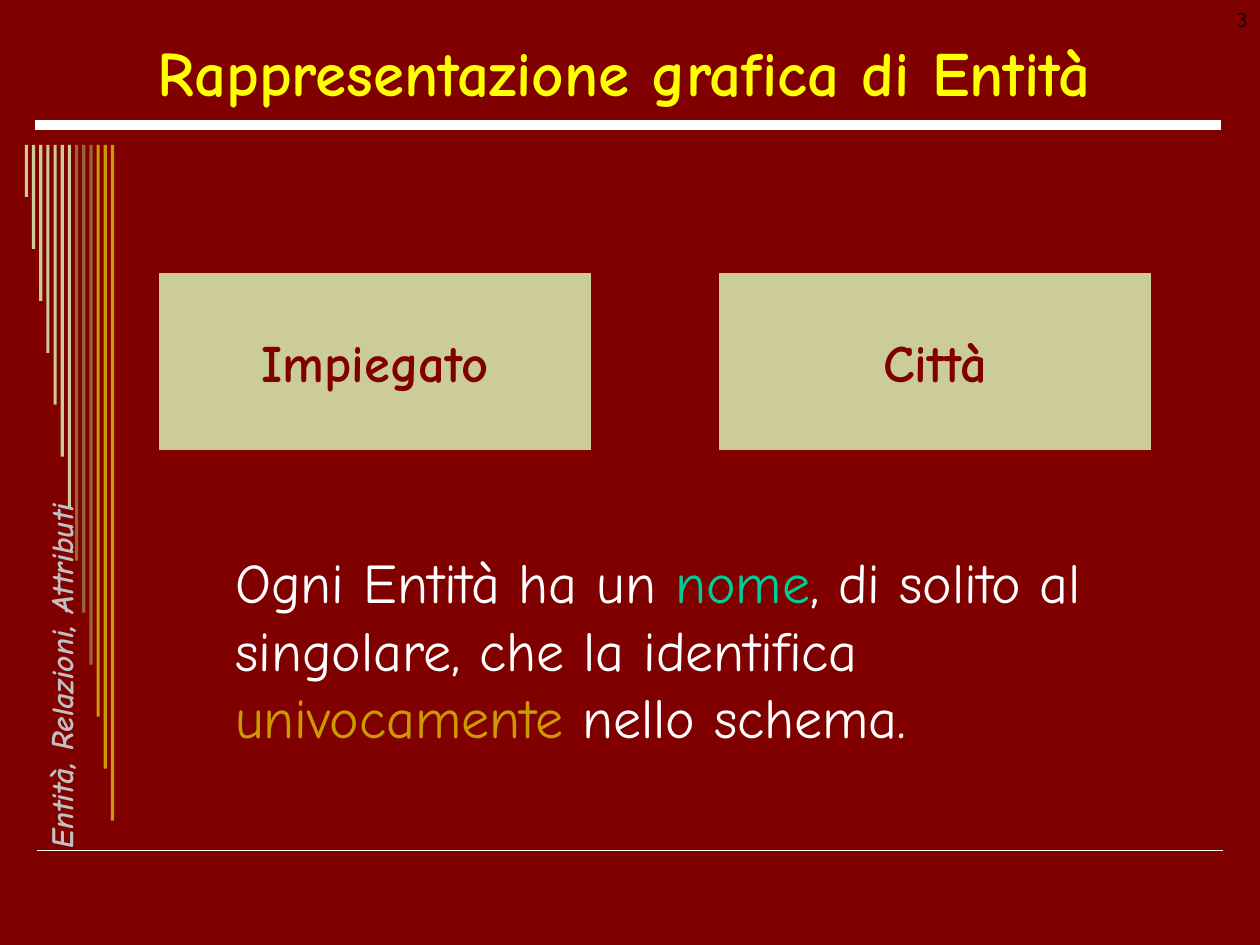
from pptx import Presentation
from pptx.dml.color import RGBColor
from pptx.enum.shapes import MSO_CONNECTOR, MSO_SHAPE
from pptx.enum.text import MSO_ANCHOR, MSO_AUTO_SIZE, PP_ALIGN
from pptx.oxml import parse_xml
from pptx.oxml.ns import nsdecls
from pptx.util import Pt

# Content
TITLE = "Rappresentazione grafica di Entità"
SECTION = "Entità, Relazioni, Attributi"
PAGE = "3"
ENTITIES = ["Impiegato", "Città"]
RULE = [
    ("Ogni Entità ha un ", "white"),
    ("nome", "green"),
    (", di solito al singolare, che la identifica ", "white"),
    ("univocamente", "gold"),
    (" nello schema.", "white"),
]
BAR_COLOURS = ["sand"] * 7 + ["brown"] * 3 + ["gold"] * 3

THEME = {
    "font": "Comic Neue",
    "colours": {
        "back": "800000", "white": "FFFFFF", "black": "000000",
        "yellow": "FFFF00", "sand": "CCCC99", "brown": "996633",
        "gold": "CC9900", "green": "00CC99", "silver": "C0C0C0",
    },
    "sizes": {"title": 36, "body": 32, "entity": 30, "section": 18, "page": 12},
}

# Geometry, in points
BAR_LEFT, BAR_TOP, BAR_PITCH, BAR_WIDTH, BAR_STEP = 14.2, 82.8, 4.1, 1.8, 29.7
BOX_LEFT, BOX_TOP, BOX_WIDTH, BOX_HEIGHT, BOX_PITCH = 91.2, 156.6, 246.4, 100.4, 320


def colour(name):
    return RGBColor.from_string(THEME["colours"][name])


def style(r, size, name, bold=False, italic=False):
    r.font.name = THEME["font"]
    r.font.size = Pt(THEME["sizes"][size])
    r.font.color.rgb = colour(name)
    r.font.bold, r.font.italic = bold, italic


def add_text(slide, box, runs, size, **fmt):
    s = slide.shapes.add_textbox(*map(Pt, box))
    s.text_frame.word_wrap = True
    p = s.text_frame.paragraphs[0]
    for text, name in runs:
        r = p.add_run()
        r.text = text
        style(r, size, name, **fmt)
    return s


def add_rect(slide, box, name):
    s = slide.shapes.add_shape(MSO_SHAPE.RECTANGLE, *map(Pt, box))
    s.shadow.inherit = False
    s.fill.solid()
    s.fill.fore_color.rgb = colour(name)
    s.line.fill.background()
    return s


def add_rule(slide, x1, x2, y, width):
    line = slide.shapes.add_connector(
        MSO_CONNECTOR.STRAIGHT, Pt(x1), Pt(y), Pt(x2), Pt(y))
    line.line.color.rgb = colour("white")
    line.line.width = Pt(width)
    line._element.spPr.append(parse_xml(f"<a:effectLst {nsdecls('a')}/>"))


def main():
    prs = Presentation()
    prs.slide_width, prs.slide_height = Pt(720), Pt(540)
    slide = prs.slides.add_slide(prs.slide_layouts[5])
    slide.background.fill.solid()
    slide.background.fill.fore_color.rgb = colour("back")

    # Rules above and below the content
    add_rule(slide, 21, 699, 486, 1)
    add_rule(slide, 19.8, 697.8, 71.4, 6)

    # Bars that grow from left to right
    for i, name in enumerate(BAR_COLOURS):
        add_rect(slide, (BAR_LEFT + i * BAR_PITCH, BAR_TOP,
                         BAR_WIDTH, (i + 1) * BAR_STEP), name)

    # Section name along the left edge, on one line
    section = add_text(slide, (-78.9, 375.2, 216, 17.3), [(SECTION, "silver")],
                       "section", bold=True, italic=True)
    section.rotation = 270

    # Title
    title = slide.shapes.title
    title.left, title.top, title.width, title.height = map(
        Pt, (25.2, 15.1, 663.1, 51.1))
    tf = title.text_frame
    tf.text = TITLE
    tf.auto_size = MSO_AUTO_SIZE.NONE
    tf.vertical_anchor = MSO_ANCHOR.MIDDLE
    tf.paragraphs[0].alignment = PP_ALIGN.CENTER
    style(tf.paragraphs[0].runs[0], "title", "yellow", bold=True)

    # Entity boxes
    for i, entity in enumerate(ENTITIES):
        s = add_rect(slide, (BOX_LEFT + i * BOX_PITCH, BOX_TOP,
                             BOX_WIDTH, BOX_HEIGHT), "sand")
        s.line.color.rgb = colour("sand")
        s.line.width = Pt(0.75)
        tf = s.text_frame
        tf.text = entity
        tf.word_wrap = False
        tf.vertical_anchor = MSO_ANCHOR.MIDDLE
        tf.paragraphs[0].alignment = PP_ALIGN.CENTER
        style(tf.paragraphs[0].runs[0], "entity", "back", bold=True)

    # Naming rule and page number
    body = add_text(slide, (127.4, 309.6, 499, 122.4), RULE, "body")
    body.text_frame.auto_size = MSO_AUTO_SIZE.SHAPE_TO_FIT_TEXT
    page = add_text(slide, (552.2, 0, 167.8, 36), [(PAGE, "black")], "page")
    page.text_frame.paragraphs[0].alignment = PP_ALIGN.RIGHT

    prs.save("out.pptx")


if __name__ == "__main__":
    main()
